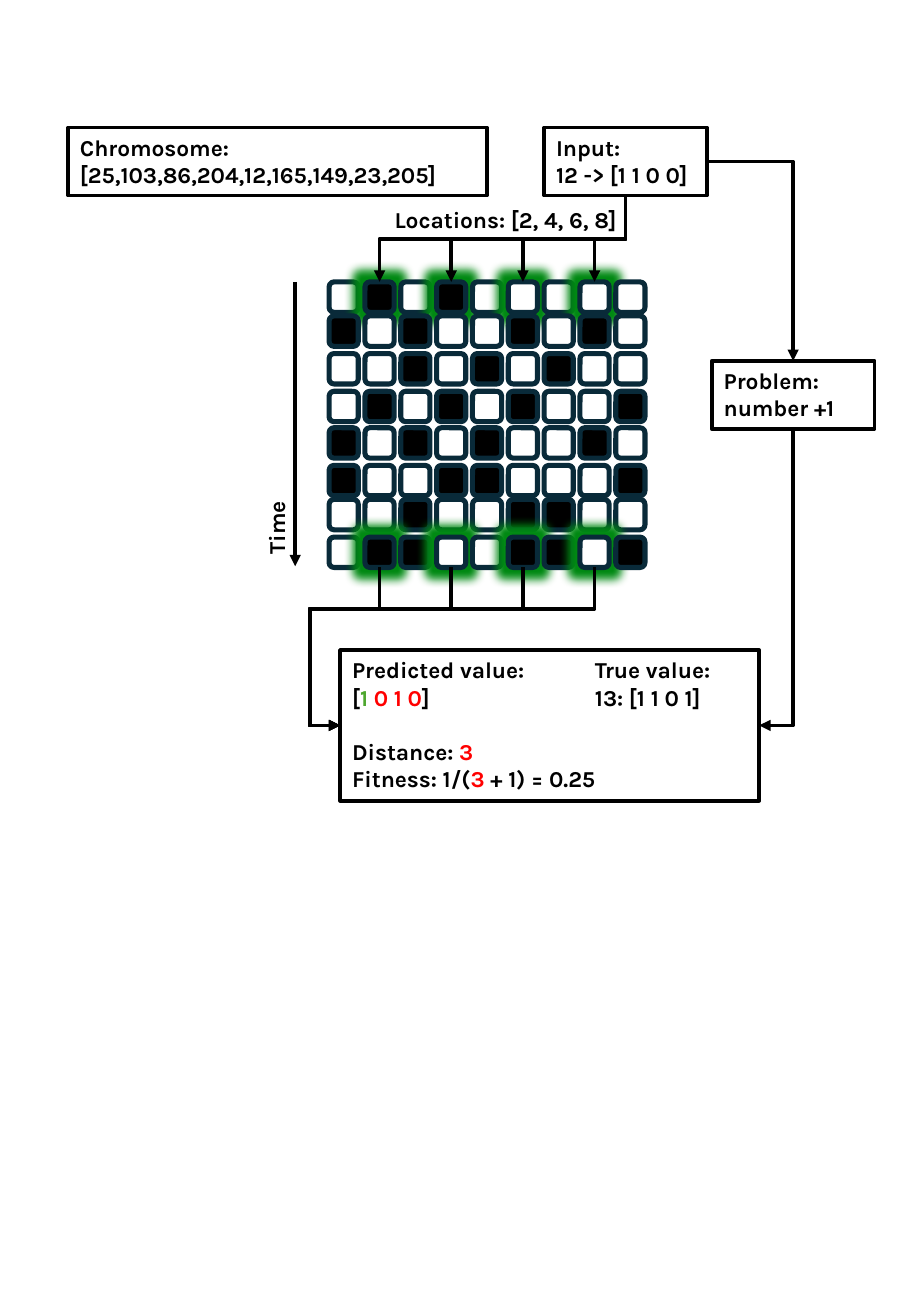
from lxml.etree import SubElement
from pptx import Presentation
from pptx.dml.color import RGBColor
from pptx.enum.shapes import MSO_CONNECTOR, MSO_SHAPE
from pptx.enum.text import MSO_ANCHOR, MSO_AUTO_SIZE, PP_ALIGN
from pptx.oxml.ns import qn
from pptx.util import Inches, Pt

BLACK, WHITE, NAVY = "000000", "FFFFFF", "092A39"
GREEN, RED, GLOW = "4EA72E", "FF0000", "008A14"
TOP, LEFT, BOTTOM, RIGHT = range(4)
ROWS = [
    (2.32, "010100000"),
    (2.60, "101001010"),
    (2.91, "001010100"),
    (3.22, "010101001"),
    (3.52, "101010010"),
    (3.83, "100110001"),
    (4.11, "001001100"),
    (4.42, "011001101"),
]
SPOTS = [1, 3, 5, 7]
LANE_X, LANE_Y = Inches(2.55), Inches(5.01)


def color(code):
    return RGBColor.from_string(code)


def write(shape, lines):
    frame = shape.text_frame
    frame.word_wrap = True
    frame.auto_size = MSO_AUTO_SIZE.SHAPE_TO_FIT_TEXT
    frame.vertical_anchor = MSO_ANCHOR.TOP
    for index, line in enumerate(lines):
        para = frame.add_paragraph() if index else frame.paragraphs[0]
        para.alignment = PP_ALIGN.LEFT
        font = para.font
        font.name, font.size, font.bold = "Karla", Pt(13.5), True
        font.color.rgb = color(BLACK)
        for text, code in [(line, BLACK)] if isinstance(line, str) else line:
            run = para.add_run()
            run.text = text
            run.font.color.rgb = color(code)
    return frame.paragraphs


def label(shapes, x, y, w, text, turn=0):
    box = shapes.add_textbox(Inches(x), Inches(y), Inches(w), Inches(0.33))
    box.rotation = turn
    write(box, [text])


def panel(shapes, x, y, w, h, lines):
    box = shapes.add_shape(
        MSO_SHAPE.RECTANGLE, Inches(x), Inches(y), Inches(w), Inches(h))
    box.shadow.inherit = False
    box.fill.background()
    box.line.color.rgb = color(BLACK)
    box.line.width = Pt(2.25)
    return box, write(box, lines)


def glow(shape):
    effects = shape._element.spPr.find(qn("a:effectLst"))
    halo = SubElement(effects, qn("a:glow"), rad=str(Pt(11)))
    SubElement(halo, qn("a:srgbClr"), val=GLOW)


def cell(shapes, x, y, on):
    box = shapes.add_shape(
        MSO_SHAPE.ROUNDED_RECTANGLE,
        Inches(x), Inches(y), Inches(0.24), Inches(0.25))
    box.shadow.inherit = False
    box.fill.solid()
    box.fill.fore_color.rgb = color(BLACK if on else WHITE)
    box.line.color.rgb = color(NAVY)
    box.line.width = Pt(3)
    return box


def grid(shapes):
    group = shapes.add_group_shape().shapes
    cells = [
        [cell(group, 2.71 + 0.295 * col, y, bit == "1")
         for col, bit in enumerate(bits)]
        for y, bits in ROWS]
    ends = [[row[col] for col in SPOTS] for row in (cells[0], cells[-1])]
    for box in ends[0] + ends[1]:
        glow(box)
    return ends


def arrow(line):
    line.line.color.rgb = color(BLACK)
    line.line.width = Pt(2.25)
    SubElement(line.line._get_or_add_ln(), qn("a:tailEnd"), type="triangle")
    SubElement(line._element.spPr, qn("a:effectLst"))


def elbow(shapes, start, out, end, into, bends):
    line = shapes.add_connector(MSO_CONNECTOR.ELBOW, 0, 0, 0, 0)
    line.begin_connect(start, out)
    line.end_connect(end, into)
    x, y = line.begin_x, line.begin_y
    dx, dy = line.end_x - x, line.end_y - y
    props = line._element.spPr
    if out == BOTTOM:
        frame = props.xfrm
        frame.flipH = frame.flipV = False
        frame.rot = 90
        line.left, line.top = (
            int(x + (dx - dy) / 2), int(y + (dy + dx) / 2))
        line.width, line.height = dy, -dx
    shape = props.find(qn("a:prstGeom"))
    shape.set("prst", f"bentConnector{bends + 1}")
    if bends == 3:
        guides = shape.find(qn("a:avLst"))
        for name, part in (
                ("adj1", (LANE_Y - y) / dy), ("adj2", (LANE_X - x) / dx)):
            SubElement(guides, qn("a:gd"), name=name,
                       fmla=f"val {round(part * 100000)}")
    arrow(line)


def main():
    deck = Presentation()
    deck.slide_width, deck.slide_height = Inches(7.5), Inches(10.83)
    shapes = deck.slides.add_slide(deck.slide_layouts[6]).shapes

    first, last = grid(shapes)
    panel(shapes, 0.56, 1.05, 3.45, 0.56,
          ["Chromosome:", "[25,103,86,204,12,165,149,23,205]"])
    entry, _ = panel(shapes, 4.48, 1.05, 1.34, 0.56,
                     ["Input:", "12 -> [1 1 0 0]"])
    task, _ = panel(shapes, 5.86, 2.97, 1.34, 0.56,
                    ["Problem:", "number +1"])
    result, paras = panel(shapes, 2.8, 5.35, 3.45, 1.24, [
        "Predicted value:\tTrue value:",
        [("[", BLACK), ("1 ", GREEN), ("0 1 0", RED),
         ("]\t13: [1 1 0 1]", BLACK)],
        [("Distance: ", BLACK), ("3", RED)],
        [("Fitness: 1/(", BLACK), ("3", RED), (" + 1) = 0.25", BLACK)],
    ])
    for para in paras[:2]:
        tabs = para._p.get_or_add_pPr()
        stops = tabs.makeelement(qn("a:tabLst"))
        SubElement(stops, qn("a:tab"), pos=str(Inches(2)), algn="l")
        tabs.find(qn("a:defRPr")).addprevious(stops)
    paras[2].space_before = Pt(16)

    for box in first:
        elbow(shapes, entry, BOTTOM, box, TOP, 2)
    elbow(shapes, entry, RIGHT, task, TOP, 1)
    elbow(shapes, task, BOTTOM, result, RIGHT, 1)
    for box in last:
        elbow(shapes, box, BOTTOM, result, LEFT, 3)

    arrow(shapes.add_connector(
        MSO_CONNECTOR.STRAIGHT,
        Inches(2.43), Inches(2.32), Inches(2.43), Inches(4.66)))
    label(shapes, 1.95, 4.17, 0.65, "Time", 270)
    label(shapes, 3.15, 1.64, 2.13, "Locations: [2, 4, 6, 8]")
    deck.save("out.pptx")


if __name__ == "__main__":
    main()
